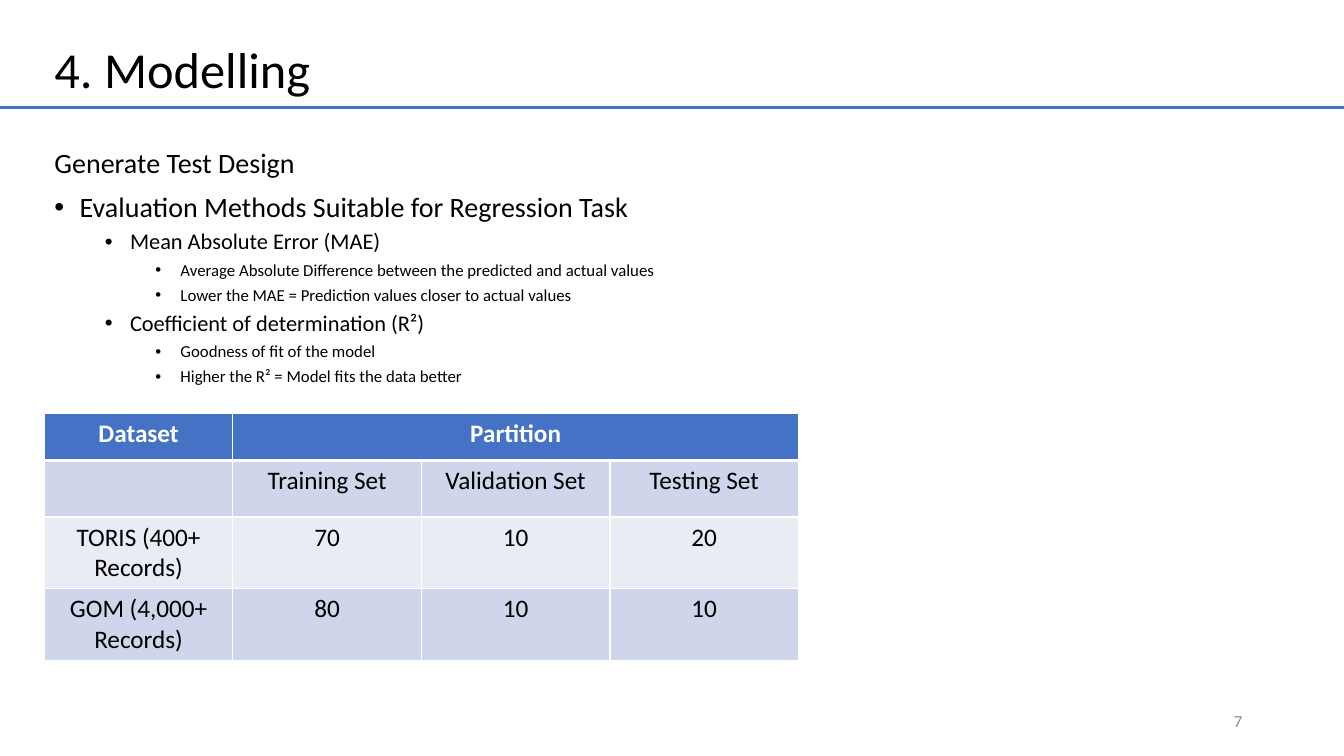
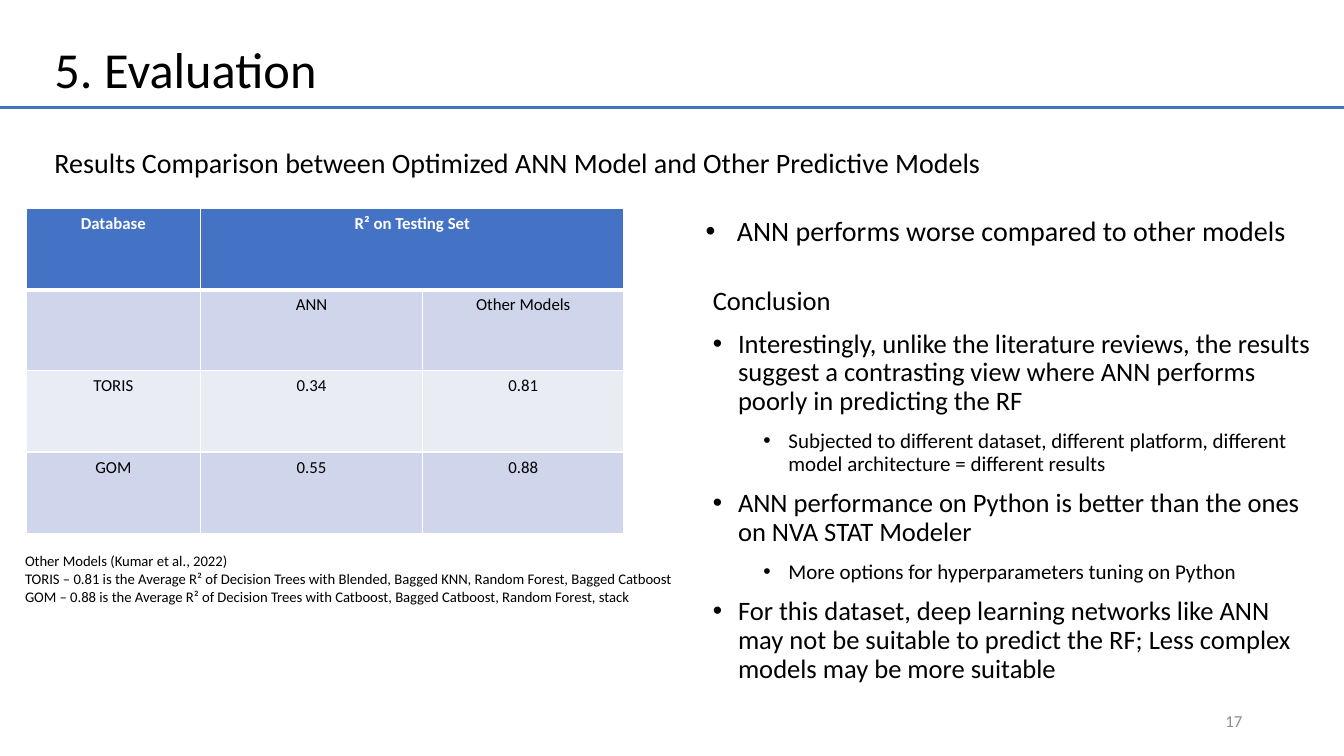
from dataclasses import dataclass
from typing import Any

from lxml import etree
from pptx import Presentation
from pptx.dml.color import RGBColor
from pptx.enum.shapes import MSO_CONNECTOR
from pptx.enum.text import MSO_ANCHOR, MSO_AUTO_SIZE, PP_ALIGN
from pptx.oxml.ns import qn
from pptx.util import Inches, Pt

LEFT, CENTER, RIGHT = PP_ALIGN.LEFT, PP_ALIGN.CENTER, PP_ALIGN.RIGHT
TOP, MIDDLE = MSO_ANCHOR.TOP, MSO_ANCHOR.MIDDLE
NO_AUTOFIT = MSO_AUTO_SIZE.NONE
STRAIGHT = MSO_CONNECTOR.STRAIGHT
SLIDE_WIDTH, SLIDE_HEIGHT = 13.33, 7.5
TITLE_AND_CONTENT, TWO_CONTENT = 1, 3
INDENT_STEP = 0.5


@dataclass(frozen=True)
class Theme:
    font: str = "Calibri"
    bullet_font: str = "Arial"
    accent: str = "4472C4"
    dark_band: str = "CFD5EA"
    light_band: str = "E9EBF5"
    white: str = "FFFFFF"
    text: str = "000000"
    muted: str = "8C8C8C"
    title: float = 36
    heading: float = 20
    conclusion: float = 19
    table: float = 18
    point: float = 16
    detail: float = 15
    small: float = 12
    note: float = 10.5


THEME = Theme()


@dataclass(frozen=True)
class Box:
    left: float
    top: float
    width: float
    height: float


@dataclass(frozen=True)
class Item:
    text: str
    size: float
    level: int = 0
    bullet: bool = True
    before: float = 10
    line_spacing: float = 0.9
    hanging: float = 0.25
    color: str = THEME.text
    align: Any = LEFT
    bold: bool = False


@dataclass(frozen=True)
class Grid:
    left: float
    top: float
    columns: tuple[float, ...]
    rows: tuple[float, ...]
    size: float
    cells: tuple[tuple[str, ...], ...]


TITLE_BOX = Box(0.44, 0.09, 12.64, 1.25)
NUMBER_BOX = Box(9.42, 6.95, 3, 0.4)
RULE_TOP = 1.07


def apply_format(target: Any, values: dict[str, Any]) -> None:
    for name, value in values.items():
        setattr(target, name, value)


def place(shape: Any, box: Box) -> None:
    apply_format(shape, {
        "left": Inches(box.left), "top": Inches(box.top),
        "width": Inches(box.width), "height": Inches(box.height),
    })


def add_bullet(paragraph: Any, item: Item) -> None:
    properties = paragraph._p.get_or_add_pPr()
    margin = item.hanging + item.level * INDENT_STEP if item.bullet else 0
    properties.set("marL", str(Inches(margin)))
    properties.set("indent", str(-Inches(item.hanging) if item.bullet else 0))
    if item.bullet:
        etree.SubElement(properties, qn("a:buFont"), typeface=THEME.bullet_font)
        etree.SubElement(properties, qn("a:buChar"), char="•")
    else:
        etree.SubElement(properties, qn("a:buNone"))


def write_items(text_frame: Any, items: list[Item]) -> None:
    for index, item in enumerate(items):
        paragraph = text_frame.add_paragraph() if index else text_frame.paragraphs[0]
        paragraph.level = item.level
        add_bullet(paragraph, item)
        apply_format(paragraph, {
            "alignment": item.align,
            "line_spacing": item.line_spacing,
            "space_before": Pt(item.before if index else 0),
            "space_after": Pt(0),
        })
        run = paragraph.add_run()
        run.text = item.text
        apply_format(run.font, {"name": THEME.font, "size": Pt(item.size), "bold": item.bold})
        run.font.color.rgb = RGBColor.from_string(item.color)


def fill_text(shape: Any, box: Box, items: list[Item], anchor: Any = TOP) -> None:
    place(shape, box)
    apply_format(shape.text_frame, {
        "word_wrap": True, "auto_size": NO_AUTOFIT, "vertical_anchor": anchor,
    })
    write_items(shape.text_frame, items)


def add_text(slide: Any, box: Box, items: list[Item], anchor: Any = TOP) -> None:
    fill_text(slide.shapes.add_textbox(0, 0, 0, 0), box, items, anchor)


def add_rule(slide: Any) -> None:
    rule = slide.shapes.add_connector(
        STRAIGHT, 0, Inches(RULE_TOP), Inches(SLIDE_WIDTH), Inches(RULE_TOP))
    rule.line.color.rgb = RGBColor.from_string(THEME.accent)
    rule.line.width = Pt(2.25)
    etree.SubElement(rule._element.spPr, qn("a:effectLst"))


def add_slide(presentation: Any, layout: int, title: str, number: int) -> Any:
    slide = presentation.slides.add_slide(presentation.slide_layouts[layout])
    fill_text(slide.shapes.title, TITLE_BOX,
              [Item(title, THEME.title, bullet=False)], MIDDLE)
    add_rule(slide)
    add_text(slide, NUMBER_BOX,
             [Item(str(number), THEME.small, bullet=False, line_spacing=1,
                   color=THEME.muted, align=RIGHT)], MIDDLE)
    return slide


def set_borders(cell: Any, row: int) -> None:
    properties = cell._tc.get_or_add_tcPr()
    widths = {"lnL": 1, "lnR": 1, "lnT": 3 if row == 1 else 1, "lnB": 3 if row == 0 else 1}
    for index, (side, width) in enumerate(widths.items()):
        line = etree.Element(qn(f"a:{side}"), w=str(Pt(width)))
        fill = etree.SubElement(line, qn("a:solidFill"))
        etree.SubElement(fill, qn("a:srgbClr"), val=THEME.white)
        properties.insert(index, line)


def add_grid(slide: Any, grid: Grid) -> None:
    table = slide.shapes.add_table(
        len(grid.rows), len(grid.columns), Inches(grid.left), Inches(grid.top),
        Inches(sum(grid.columns)), Inches(sum(grid.rows))).table
    for column, width in zip(table.columns, grid.columns):
        column.width = Inches(width)
    for row, height in zip(table.rows, grid.rows):
        row.height = Inches(height)
    table.cell(0, 1).merge(table.cell(0, len(grid.columns) - 1))
    for row_index, texts in enumerate(grid.cells):
        header = row_index == 0
        band = THEME.dark_band if row_index % 2 else THEME.light_band
        for column_index in range(len(grid.columns)):
            cell = table.cell(row_index, column_index)
            cell.fill.solid()
            cell.fill.fore_color.rgb = RGBColor.from_string(THEME.accent if header else band)
            set_borders(cell, row_index)
            if column_index < len(texts) and texts[column_index]:
                write_items(cell.text_frame, [Item(
                    texts[column_index], grid.size, bullet=False, line_spacing=1,
                    color=THEME.white if header else THEME.text, align=CENTER, bold=header)])


def build_modelling(presentation: Any) -> None:
    slide = add_slide(presentation, TITLE_AND_CONTENT, "4. Modelling", 7)
    outline = (
        (1, "Mean Absolute Error (MAE)"),
        (2, "Average Absolute Difference between the predicted and actual values"),
        (2, "Lower the MAE = Prediction values closer to actual values"),
        (1, "Coefficient of determination (R²)"),
        (2, "Goodness of fit of the model"),
        (2, "Higher the R² = Model fits the data better"),
    )
    sizes = {1: THEME.point, 2: THEME.small}
    fill_text(slide.placeholders[1], Box(0.44, 1.43, 8.52, 2.87), [
        Item("Generate Test Design", THEME.heading, bullet=False),
        Item("Evaluation Methods Suitable for Regression Task", THEME.heading),
        *(Item(text, sizes[level], level, before=5) for level, text in outline),
    ])
    add_grid(slide, Grid(0.44, 4.1, (1.87,) * 4, (0.47, 0.56, 0.7, 0.7), THEME.table, (
        ("Dataset", "Partition"),
        ("", "Training Set", "Validation Set", "Testing Set"),
        ("TORIS (400+ Records)", "70", "10", "20"),
        ("GOM (4,000+ Records)", "80", "10", "10"),
    )))


def build_evaluation(presentation: Any) -> None:
    slide = add_slide(presentation, TWO_CONTENT, "5. Evaluation", 17)
    fill_text(slide.placeholders[1], Box(0.44, 1.43, 9.43, 0.48), [Item(
        "Results Comparison between Optimized ANN Model and Other Predictive Models",
        THEME.heading, bullet=False)])
    add_grid(slide, Grid(0.26, 2.07, (1.73, 2.2, 2), (0.805,) * 4, THEME.small, (
        ("Database", "R² on Testing Set"),
        ("", "ANN", "Other Models"),
        ("TORIS", "0.34", "0.81"),
        ("GOM", "0.55", "0.88"),
    )))
    conclusions = (
        (0, "Interestingly, unlike the literature reviews, the results suggest a "
            "contrasting view where ANN performs poorly in predicting the RF"),
        (1, "Subjected to different dataset, different platform, different model "
            "architecture = different results"),
        (0, "ANN performance on Python is better than the ones on NVA STAT Modeler"),
        (1, "More options for hyperparameters tuning on Python"),
        (0, "For this dataset, deep learning networks like ANN may not be suitable to "
            "predict the RF; Less complex models may be more suitable"),
    )
    sizes = (THEME.conclusion, THEME.detail)
    fill_text(slide.placeholders[2], Box(6.97, 2.77, 6.22, 4.11), [
        Item("Conclusion", THEME.conclusion, bullet=False, line_spacing=1),
        *(Item(text, sizes[level], level) for level, text in conclusions),
    ])
    notes = (
        "Other Models (Kumar et al., 2022)",
        "TORIS – 0.81 is the Average R² of Decision Trees with Blended, Bagged KNN, "
        "Random Forest, Bagged Catboost",
        "GOM – 0.88 is the Average R² of Decision Trees with Catboost, Bagged Catboost, "
        "Random Forest, stack",
    )
    add_text(slide, Box(0.15, 5.43, 6.83, 0.81), [
        Item(text, THEME.note, bullet=False, before=0, line_spacing=1) for text in notes])
    add_text(slide, Box(6.9, 2.11, 6.17, 0.53), [
        Item("ANN performs worse compared to other models", THEME.heading, hanging=0.31)])


def main() -> None:
    presentation = Presentation()
    apply_format(presentation, {
        "slide_width": Inches(SLIDE_WIDTH), "slide_height": Inches(SLIDE_HEIGHT),
    })
    build_modelling(presentation)
    build_evaluation(presentation)
    presentation.save("out.pptx")


if __name__ == "__main__":
    main()
